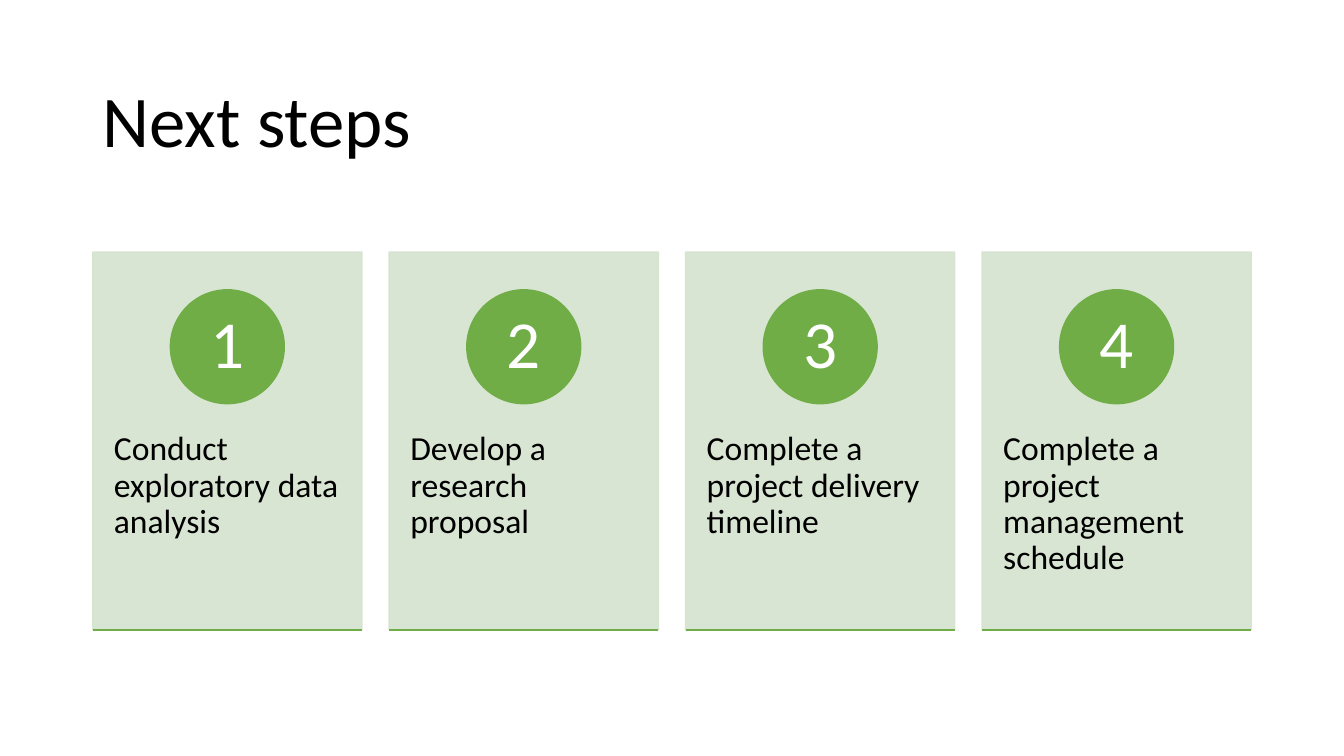
from dataclasses import dataclass

from lxml.etree import SubElement
from pptx import Presentation
from pptx.dml.color import RGBColor
from pptx.enum.shapes import MSO_CONNECTOR, MSO_SHAPE
from pptx.enum.text import MSO_ANCHOR, PP_ALIGN
from pptx.oxml.ns import qn
from pptx.shapes.autoshape import Shape
from pptx.slide import Slide
from pptx.text.text import TextFrame
from pptx.util import Inches, Pt


@dataclass(frozen=True)
class Theme:
    font: str = "Calibri"
    ink: str = "000000"
    paper: str = "FFFFFF"
    card: str = "D5E3CF"
    green: str = "70AD47"
    title: int = 52
    digit: int = 48
    body: int = 24
    line: int = 1
    alpha: int = 90


@dataclass(frozen=True)
class Grid:
    left: float = 0.92
    top: float = 2.5
    width: float = 2.67
    height: float = 3.75
    pitch: float = 2.94


@dataclass(frozen=True)
class Box:
    left: float
    top: float
    width: float
    height: float

    def emu(self) -> list[int]:
        return [Inches(n) for n in (self.left, self.top, self.width, self.height)]


@dataclass(frozen=True)
class Step:
    index: int
    text: str


THEME = Theme()
GRID = Grid()
TITLE = Box(GRID.left, 0.61, 11.5, 1.24)
DISC = 1.13
STEPS = [
    Step(index, text)
    for index, text in enumerate(
        [
            "Conduct exploratory data analysis",
            "Develop a research proposal",
            "Complete a project delivery timeline",
            "Complete a project management schedule",
        ]
    )
]


def write(frame: TextFrame, text: str, size: int, color: str, align: PP_ALIGN) -> None:
    frame.word_wrap = True
    frame.text = text
    para = frame.paragraphs[0]
    para.alignment = align
    para.line_spacing = 0.9
    para.font.name = THEME.font
    para.font.size = Pt(size)
    para.font.color.rgb = RGBColor.from_string(color)


def inset(frame: TextFrame, side: float, end: float) -> None:
    frame.margin_left = frame.margin_right = Inches(side)
    frame.margin_top = frame.margin_bottom = Inches(end)


def draw(slide: Slide, kind: MSO_SHAPE, box: Box, color: str) -> Shape:
    shape = slide.shapes.add_shape(kind, *box.emu())
    shape.shadow.inherit = False
    shape.fill.solid()
    shape.fill.fore_color.rgb = RGBColor.from_string(color)
    shape.line.color.rgb = RGBColor.from_string(color)
    shape.line.width = Pt(THEME.line)
    return shape


def fade(shape: Shape) -> None:
    for color in shape.element.spPr.iter(qn("a:srgbClr")):
        SubElement(color, qn("a:alpha"), val=str(THEME.alpha * 1000))


def rule(slide: Slide, box: Box) -> None:
    base = Inches(box.top + box.height)
    line = slide.shapes.add_connector(
        MSO_CONNECTOR.STRAIGHT,
        Inches(box.left), base, Inches(box.left + box.width), base,
    )
    line.line.color.rgb = RGBColor.from_string(THEME.green)
    line.line.width = Pt(THEME.line)
    SubElement(line.element.spPr, qn("a:effectLst"))


def add_step(slide: Slide, step: Step) -> None:
    card = Box(GRID.left + step.index * GRID.pitch, GRID.top, GRID.width, GRID.height)
    fade(draw(slide, MSO_SHAPE.RECTANGLE, card, THEME.card))

    area = Box(card.left, card.top + 0.38 * card.height, card.width, 0.6 * card.height)
    body = slide.shapes.add_textbox(*area.emu()).text_frame
    inset(body, 0.21, 0.36)
    write(body, step.text, THEME.body, THEME.ink, PP_ALIGN.LEFT)

    spot = Box(
        card.left + (card.width - DISC) / 2, card.top + 0.1 * card.height, DISC, DISC
    )
    disc = draw(slide, MSO_SHAPE.OVAL, spot, THEME.green).text_frame
    disc.vertical_anchor = MSO_ANCHOR.MIDDLE
    inset(disc, 0.09, 0.01)
    write(disc, str(step.index + 1), THEME.digit, THEME.paper, PP_ALIGN.CENTER)

    rule(slide, card)


def main() -> None:
    deck = Presentation()
    deck.slide_width = Inches(13.33)
    deck.slide_height = Inches(7.5)
    slide = deck.slides.add_slide(deck.slide_layouts.get_by_name("Title Only"))

    title = slide.shapes.title
    title.left, title.top, title.width, title.height = TITLE.emu()
    title.text_frame.vertical_anchor = MSO_ANCHOR.MIDDLE
    write(title.text_frame, "Next steps", THEME.title, THEME.ink, PP_ALIGN.LEFT)

    for step in STEPS:
        add_step(slide, step)
    deck.save("out.pptx")


if __name__ == "__main__":
    main()
